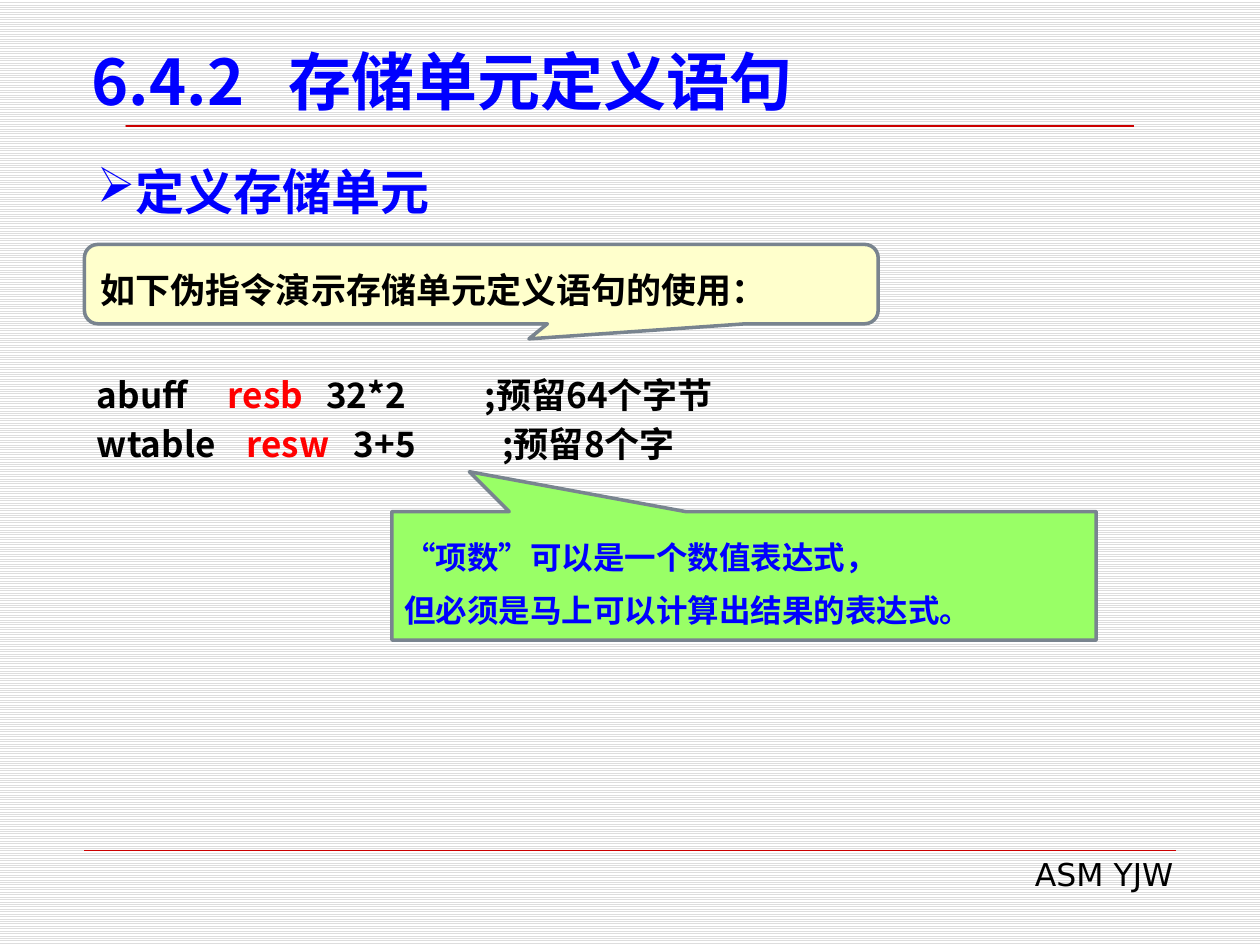
from lxml import etree
from pptx import Presentation
from pptx.dml.color import RGBColor
from pptx.enum.dml import MSO_PATTERN
from pptx.enum.lang import MSO_LANGUAGE_ID as LANG
from pptx.enum.shapes import MSO_CONNECTOR, MSO_SHAPE as SHAPE
from pptx.enum.text import MSO_ANCHOR as ANCHOR, PP_ALIGN as ALIGN
from pptx.oxml.ns import qn
from pptx.util import Inches, Pt

BLUE = RGBColor(0x00, 0x00, 0xFF)
RED = RGBColor(0xFF, 0x00, 0x00)
BLACK = RGBColor(0x00, 0x00, 0x00)
WHITE = RGBColor(0xFF, 0xFF, 0xFF)
STRIPE = RGBColor(0xDD, 0xDD, 0xDD)
RULE_RED = RGBColor(0xCC, 0x00, 0x00)
OUTLINE = RGBColor(0x79, 0x84, 0x8F)
YELLOW = RGBColor(0xFF, 0xFF, 0xCC)
GREEN = RGBColor(0x99, 0xFF, 0x66)
SANS, CJK = "DejaVu Sans", "Noto Sans CJK SC"

TITLE = "6.4.2\t存储单元定义语句"
TITLE_TAB = 1.56
HEADING = "定义存储单元"
FOOTER = "ASM YJW"
INTRO = ["如下伪指令演示存储单元定义语句的使用："]
NOTE = ["“项数”可以是一个数值表达式，", "但必须是马上可以计算出结果的表达式。"]
# label, directive, operand, comment, tab stops in inches
CODE = [
    ("abuff", "resb", "32*2", ";预留64个字节", (1.04, 1.82, 3.08)),
    ("wtable", "resw", "3+5", ";预留8个字", (1.19, 2.04, 3.22)),
]
LEFT, RIGHT = 0.67, 9.33


def write(p, text, size=20, font=CJK, color=BLACK, bold=True, leading=None):
    """Add a run to paragraph p; leading is the exact line height in points."""
    r = p.add_run()
    r.text = text
    f = r.font
    f.size, f.name, f.bold, f.color.rgb = Pt(size), font, bold, color
    f.language_id = LANG.SIMPLIFIED_CHINESE
    latin = r._r.rPr.find(qn("a:latin"))
    ea = etree.Element(qn("a:ea"), typeface=CJK)
    latin.addnext(ea)
    if leading:
        p.line_spacing = Pt(leading)


def add_tabs(p, stops):
    tabs = etree.SubElement(p._p.get_or_add_pPr(), qn("a:tabLst"))
    for stop in stops:
        etree.SubElement(tabs, qn("a:tab"), pos=str(Inches(stop)), algn="l")


def paragraphs(tf, count):
    return [tf.paragraphs[0]] + [tf.add_paragraph() for _ in range(count - 1)]


def text_box(slide, x, y, w, h, anchor=ANCHOR.TOP):
    tf = slide.shapes.add_textbox(*map(Inches, (x, y, w, h))).text_frame
    tf.word_wrap = True
    tf.vertical_anchor = anchor
    return tf


def add_callout(slide, kind, box, pointer, fill, lines, **fmt):
    sp = slide.shapes.add_shape(kind, *map(Inches, box))
    sp.shadow.inherit = False
    for i, value in enumerate(pointer):
        sp.adjustments[i] = value
    sp.fill.solid()
    sp.fill.fore_color.rgb = fill
    sp.line.color.rgb = OUTLINE
    sp.line.width = Pt(2)
    tf = sp.text_frame
    tf.word_wrap = True
    tf.vertical_anchor = ANCHOR.MIDDLE
    for p, line in zip(paragraphs(tf, len(lines)), lines):
        p.alignment = ALIGN.LEFT
        write(p, line, leading=30, **fmt)


def add_title_rule(slide, top=0.99, bottom=1.11, bar_end=5.76, line_end=9.37):
    fb = slide.shapes.build_freeform(LEFT, top, scale=Inches(1))
    fb.add_line_segments([(bar_end, top), (bar_end, bottom), (LEFT, bottom)])
    fb.move_to(LEFT, top)
    fb.add_line_segments([(line_end, top)], close=False)
    sp = fb.convert_to_shape()
    sp.shadow.inherit = False
    sp.fill.solid()
    sp.fill.fore_color.rgb = RULE_RED
    sp.line.color.rgb = RULE_RED
    sp.line.width = Pt(0.75)


def add_footer_rule(slide, y=6.75):
    line = slide.shapes.add_connector(
        MSO_CONNECTOR.STRAIGHT, *map(Inches, (LEFT, y, RIGHT, y)))
    line.line.color.rgb = RULE_RED
    line.line.width = Pt(0.25)
    etree.SubElement(line._element.spPr, qn("a:effectLst"))


def main():
    prs = Presentation()
    prs.slide_width, prs.slide_height = Inches(10), Inches(7.5)
    slide = prs.slides.add_slide(prs.slide_layouts[6])

    bg = slide.background.fill
    bg.patterned()
    bg.pattern = MSO_PATTERN.LIGHT_HORIZONTAL
    bg.fore_color.rgb, bg.back_color.rgb = STRIPE, WHITE

    add_title_rule(slide)
    add_footer_rule(slide)

    p = text_box(slide, 3.82, 6.74, 5.59, 0.4).paragraphs[0]
    p.alignment = ALIGN.RIGHT
    write(p, FOOTER, size=18, font=SANS, bold=False)

    p = text_box(slide, LEFT, 1.23, RIGHT - LEFT, 0.57).paragraphs[0]
    etree.SubElement(p._p.get_or_add_pPr(), qn("a:buChar"), char="➢")
    write(p, HEADING, size=28, font=SANS, color=BLUE)

    tf = text_box(slide, LEFT, 2.86, RIGHT - LEFT, 0.89)
    for p, (label, directive, operand, comment, stops) in zip(
            paragraphs(tf, len(CODE)), CODE):
        write(p, label + "\t", leading=28)
        write(p, directive, color=RED)
        write(p, f"\t{operand}\t{comment}")
        add_tabs(p, stops)

    add_callout(slide, SHAPE.ROUNDED_RECTANGULAR_CALLOUT, (LEFT, 1.94, 6.3, 0.63),
                (0.06, 0.69, 0.17), YELLOW, INTRO)
    add_callout(slide, SHAPE.RECTANGULAR_CALLOUT, (3.11, 4.06, 5.59, 1.02),
                (-0.39, -0.81), GREEN, NOTE, size=18, font=SANS, color=BLUE)

    p = text_box(slide, 0.63, 0.33, 8.75, 0.66, ANCHOR.BOTTOM).paragraphs[0]
    write(p, TITLE, size=36, color=BLUE)
    add_tabs(p, [TITLE_TAB])

    prs.save("out.pptx")


if __name__ == "__main__":
    main()
